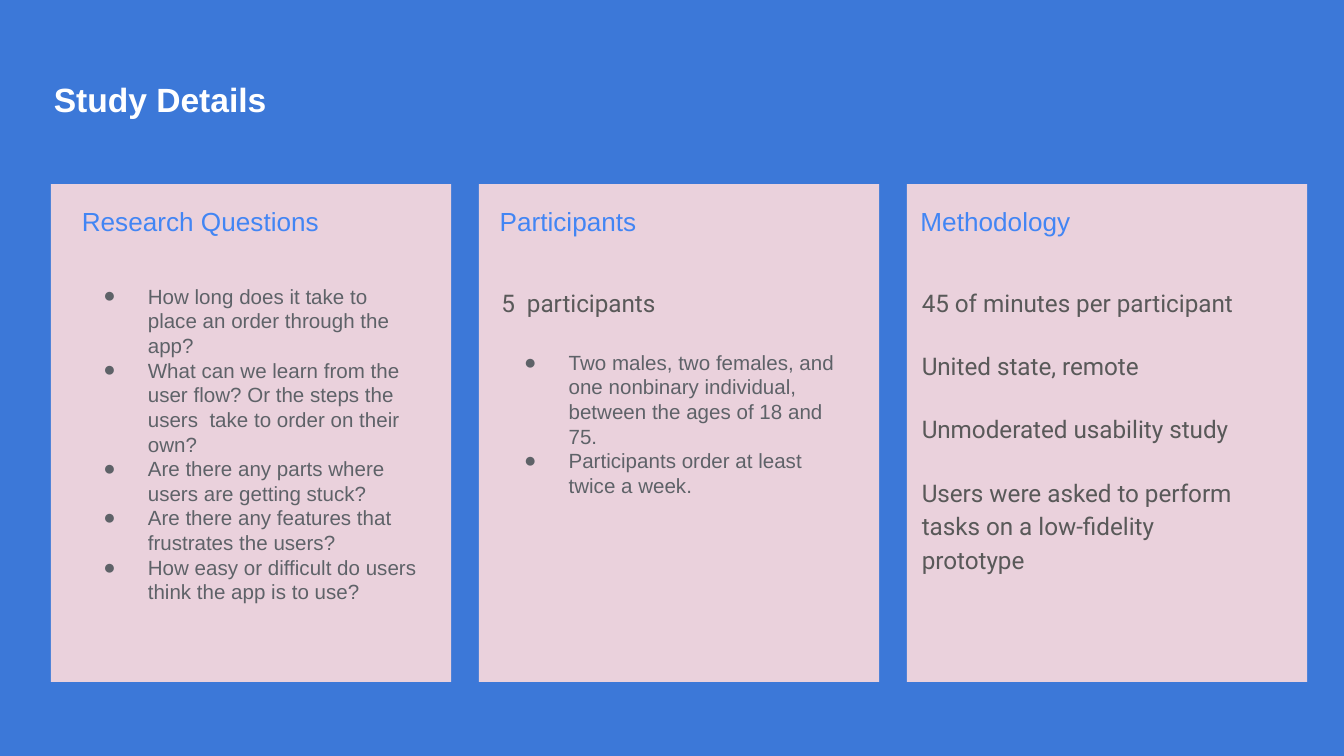
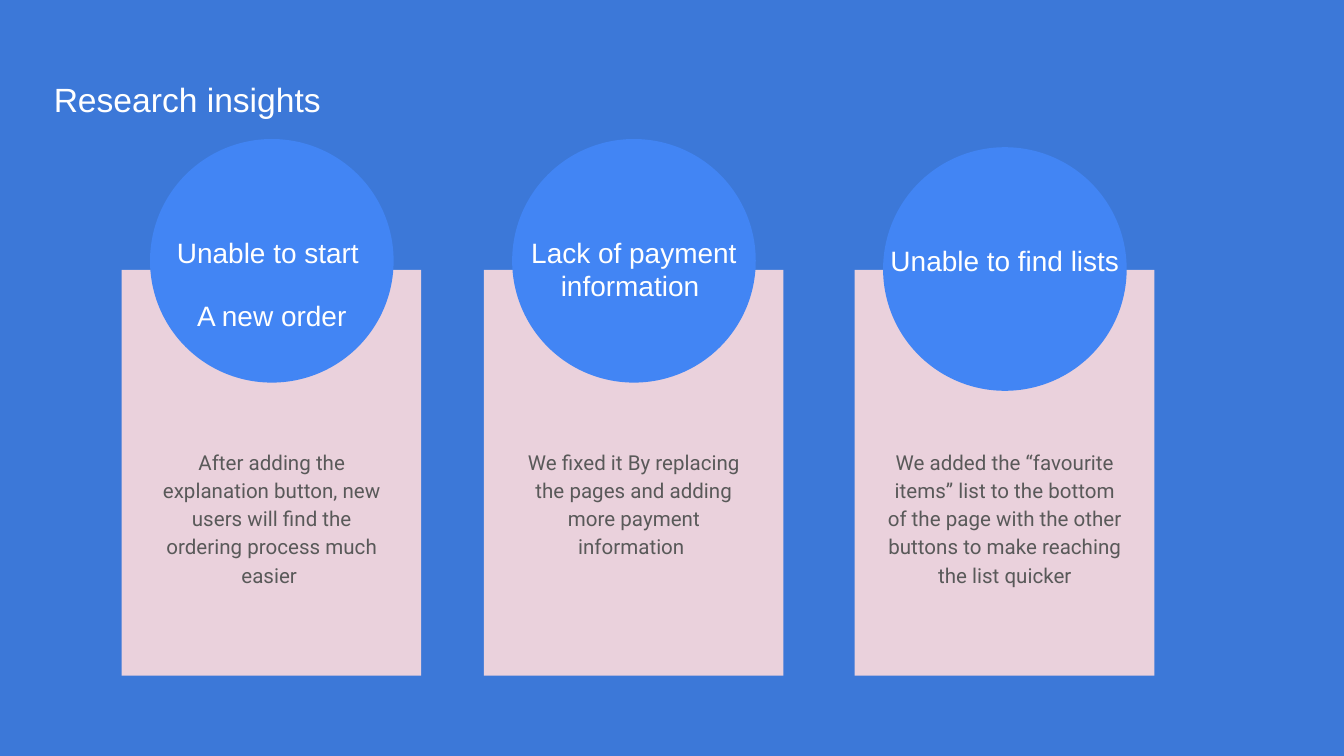
"""Build two usability study slides: study details and research insights."""
from lxml.etree import SubElement
from pptx import Presentation
from pptx.dml.color import RGBColor
from pptx.enum.shapes import MSO_SHAPE as Shape
from pptx.enum.text import MSO_ANCHOR as Anchor, MSO_AUTO_SIZE as AutoSize, PP_ALIGN as Align
from pptx.oxml.ns import qn
from pptx.util import Pt

BLUE = RGBColor(0x3C, 0x78, 0xD8)
BRIGHT = RGBColor(0x42, 0x85, 0xF4)
PINK = RGBColor(0xEA, 0xD1, 0xDC)
WHITE = RGBColor(0xFF, 0xFF, 0xFF)
GREY = RGBColor(0x59, 0x59, 0x59)
SLATE = RGBColor(0x5E, 0x62, 0x68)

TITLE = {"size": 18, "name": "Arial", "color": WHITE, "line_spacing": 1.15}
BOLD_TITLE = {**TITLE, "bold": True}
HEADING = {"size": 14, "name": "Arial", "color": BRIGHT}
BULLET = {"size": 11, "name": "Arial", "color": SLATE, "bullet": "●"}
FACT = {"size": 13, "name": "Roboto", "color": GREY, "line_spacing": 1.15}
LABEL = {"size": 15, "name": "Arial", "color": WHITE, "alignment": Align.CENTER}
NOTE = {"size": 11, "name": "Roboto", "color": GREY, "alignment": Align.CENTER, "line_spacing": 1.15}


def write(box, place, lines, top_inset=7.2):
    """Place a text box or placeholder and fill it with (text, style) lines."""
    box.left, box.top, box.width, box.height = map(Pt, place)
    frame = box.text_frame
    settings = {"word_wrap": True, "auto_size": AutoSize.NONE, "vertical_anchor": Anchor.TOP,
                "margin_left": Pt(7.2), "margin_right": Pt(7.2),
                "margin_top": Pt(top_inset), "margin_bottom": Pt(7.2)}
    for key, value in settings.items():
        setattr(frame, key, value)
    for number, (text, style) in enumerate(lines):
        para = frame.add_paragraph() if number else frame.paragraphs[0]
        layout = {"alignment": style.get("alignment", Align.LEFT),
                  "line_spacing": style.get("line_spacing", 1.0),
                  "space_before": Pt(style.get("before", 0)),
                  "space_after": Pt(style.get("after", 0))}
        for key, value in layout.items():
            setattr(para, key, value)
        span = para.add_run()
        span.text = text
        letters = {"size": Pt(style["size"]), "name": style["name"], "bold": style.get("bold", False)}
        for key, value in letters.items():
            setattr(span.font, key, value)
        span.font.color.rgb = style["color"]
        props = span.font._element.getparent().getparent().get_or_add_pPr()
        bullet = style.get("bullet")
        props.set("marL", str(Pt(36 if bullet else 0)))
        props.set("indent", str(Pt(-23.8 if bullet else 0)))
        if bullet:
            SubElement(SubElement(props, qn("a:buClr")), qn("a:srgbClr"), val=str(style["color"]))
            SubElement(props, qn("a:buFont"), typeface="Arial")
            SubElement(props, qn("a:buChar"), char=bullet)
        else:
            SubElement(props, qn("a:buNone"))


def panel(page, kind, place, colour):
    """Add a flat filled shape behind the title."""
    shape = page.shapes.add_shape(kind, *map(Pt, place))
    shape.shadow.inherit = False
    shape.fill.solid()
    shape.fill.fore_color.rgb = colour
    shape.line.fill.background()
    page.shapes.title.element.addprevious(shape.element)


deck = Presentation()
deck.slide_width, deck.slide_height = Pt(720), Pt(405)
master_fill = deck.slide_master.background.fill
master_fill.solid()
master_fill.fore_color.rgb = BLUE

page = deck.slides.add_slide(deck.slide_layouts.get_by_name("Two Content"))
write(page.shapes.title, (21.6, 31.7, 139, 59.8), [("Study Details", BOLD_TITLE)])
questions = [
    "How long does it take to place an order through the app?",
    "What can we learn from the user flow? Or the steps the users  take to order on their own?",
    "Are there any parts where users are getting stuck?",
    "Are there any features that frustrates the users?",
    "How easy or difficult do users think the app is to use?",
]
participants = [
    ("5  participants", {**FACT, "after": 17.5}),
    ("Two males, two females, and one nonbinary individual, between the ages of 18 and 75.", BULLET),
    ("Participants order at least twice a week.", BULLET),
]
methods = [
    "45 of minutes per participant",
    "United state, remote",
    "Unmoderated usability study",
    "Users were asked to perform tasks on a low-fidelity prototype",
]
columns = [
    ("Research Questions", 36.7, 36, [(text, BULLET) for text in questions]),
    ("Participants", 260.6, 261.4, participants),
    ("Methodology", 486, 486.7,
     [(text, {**FACT, "before": 16 if number else 0}) for number, text in enumerate(methods)]),
]
bodies = [page.placeholders[1], page.placeholders[2], page.shapes.add_textbox(0, 0, 0, 0)]
for number, (heading, heading_left, body_left, lines) in enumerate(columns):
    panel(page, Shape.RECTANGLE, (27.2 + 229.3 * number, 98.6, 214.5, 266.7), PINK)
    write(page.shapes.add_textbox(0, 0, 0, 0), (heading_left, 103, 195, 22.3), [(heading, HEADING)])
    write(bodies[number], (body_left, 144.7, 195, 174.2), lines)

page = deck.slides.add_slide(deck.slide_layouts.get_by_name("Title Only"))
write(page.shapes.title, (21.6, 31.7, 363, 38.2), [("Research insights", TITLE)])
insights = [
    (65.2, 0, ["Unable to start ", "A new order"],
     "After adding the explanation button, new users will find the ordering process much easier "),
    (259.2, 0, ["Lack of payment information "],
     "We fixed it By replacing the pages and adding more payment information "),
    (457.9, 4.4, ["Unable to find lists"],
     "We added the “favourite items” list to the bottom of the page with the other buttons "
     "to make reaching the list quicker"),
]
for left, drop, labels, note in insights:
    panel(page, Shape.RECTANGLE, (left, 144.6, 160.5, 217.4), PINK)
    panel(page, Shape.OVAL, (left + 15.2, 74.5 + drop, 130.5, 130.5), BRIGHT)
    write(page.shapes.add_textbox(0, 0, 0, 0), (left + 10.2, 118.8 + drop, 140.4, 42.5),
          [(text, {**LABEL, "before": 16 if number else 0}) for number, text in enumerate(labels)])
    write(page.shapes.add_textbox(0, 0, 0, 0), (left + 10.2, 200.9, 140.4, 105.8),
          [(note, NOTE)], top_inset=38)

deck.save("out.pptx")
